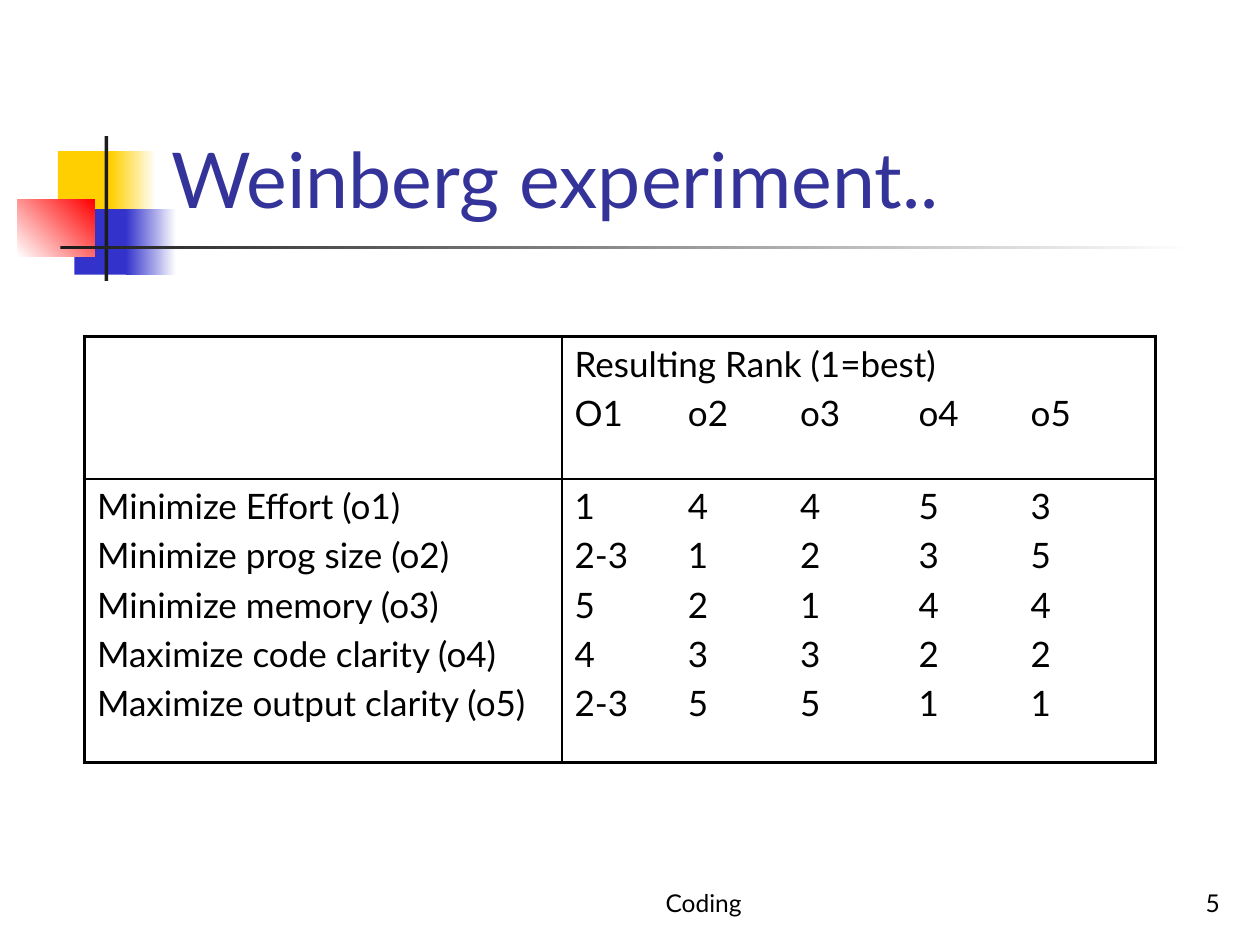
from dataclasses import dataclass

from lxml.etree import SubElement
from pptx import Presentation
from pptx.dml.color import RGBColor
from pptx.enum.shapes import MSO_SHAPE as Preset
from pptx.enum.text import MSO_ANCHOR as Anchor, PP_ALIGN as Align
from pptx.oxml.ns import qn
from pptx.util import Inches, Pt

FONT = "Lato"
COLORS = {
    "yellow": "FFCF01",
    "blue": "3333CC",
    "red": "FF0000",
    "dark": "1C1C1C",
    "white": "FFFFFF",
    "title": "333399",
    "text": "000000",
}
TAB_STOPS = (0.9, 1.79, 2.73, 3.62)
THICK, THIN = 2.25, 1


@dataclass
class Block:
    left: float
    top: float
    width: float
    height: float
    start: str
    end: str = ""
    angle: float = 0


@dataclass
class Label:
    text: str
    left: float
    top: float
    width: float
    height: float
    size: float
    align: Align
    color: str = "text"


BLOCKS = [
    Block(0.46, 1.2, 0.48, 0.52, "yellow"),
    Block(0.88, 1.2, 0.36, 0.52, "yellow", "white"),
    Block(0.59, 1.66, 0.46, 0.52, "blue"),
    Block(1, 1.66, 0.4, 0.52, "blue", "white"),
    Block(0.14, 1.58, 0.61, 0.46, "white", "red", 45),
    Block(0.83, 1.08, 0.03, 1.15, "dark"),
    Block(0.48, 1.95, 9, 0.03, "dark", "white"),
]
LABELS = [
    Label("Coding", 4, 6.83, 3.17, 0.5, 14, Align.CENTER),
    Label("5", 7.7, 6.83, 2.08, 0.5, 14, Align.RIGHT),
    Label("Weinberg experiment..", 1.26, 0.23, 8.52, 1.6, 44, Align.LEFT, "title"),
]
HEADER = ["Resulting Rank (1=best)", "O1\to2\to3\to4\to5"]
RANKS = {
    "Minimize Effort (o1)": "1\t4\t4\t5\t3",
    "Minimize prog size (o2)": "2-3\t1\t2\t3\t5",
    "Minimize memory (o3)": "5\t2\t1\t4\t4",
    "Maximize code clarity (o4)": "4\t3\t3\t2\t2",
    "Maximize output clarity (o5)": "2-3\t5\t5\t1\t1",
}


def rgb(name: str) -> RGBColor:
    return RGBColor.from_string(COLORS[name])


def style(paragraph, size: float, color: str = "text") -> None:
    font = paragraph.font
    font.name, font.size = FONT, Pt(size)
    font.color.rgb = rgb(color)


def draw_block(slide, block: Block) -> None:
    shape = slide.shapes.add_shape(
        Preset.RECTANGLE, Inches(block.left), Inches(block.top),
        Inches(block.width), Inches(block.height))
    shape.shadow.inherit = False
    shape.line.fill.background()
    if not block.end:
        shape.fill.solid()
        shape.fill.fore_color.rgb = rgb(block.start)
        return
    shape.fill.gradient()
    shape.fill.gradient_angle = block.angle
    for stop, color in zip(shape.fill.gradient_stops, (block.start, block.end)):
        stop.color.rgb = rgb(color)


def draw_label(slide, label: Label) -> None:
    box = slide.shapes.add_textbox(
        Inches(label.left), Inches(label.top), Inches(label.width), Inches(label.height))
    frame = box.text_frame
    frame.word_wrap = True
    frame.vertical_anchor = Anchor.BOTTOM
    paragraph = frame.paragraphs[0]
    paragraph.text = label.text
    paragraph.alignment = label.align
    style(paragraph, label.size, label.color)


def add_tab_stops(paragraph) -> None:
    properties = paragraph.font._element.getparent()
    tabs = SubElement(properties, qn("a:tabLst"))
    for position in TAB_STOPS:
        SubElement(tabs, qn("a:tab"), pos=str(Inches(position)), algn="l")
    # Tab stops come before the default run properties
    paragraph.font._element.addprevious(tabs)


def fill_cell(cell, lines: list[str]) -> None:
    frame = cell.text_frame
    frame.text = "\n".join(lines)
    for paragraph in frame.paragraphs:
        paragraph.space_before = Pt(4)
        style(paragraph, 20)
        if "\t" in paragraph.text:
            add_tab_stops(paragraph)


def set_borders(cell, widths: dict[str, float]) -> None:
    properties = cell._tc.get_or_add_tcPr()
    for index, (side, width) in enumerate(widths.items()):
        line = SubElement(properties, qn(f"a:ln{side}"), w=str(Pt(width)))
        fill = SubElement(line, qn("a:solidFill"))
        SubElement(fill, qn("a:srgbClr"), val=COLORS["text"])
        # Borders come before the cell fill
        properties.insert(index, line)


def draw_table(slide) -> None:
    contents = [[[], HEADER], [list(RANKS), list(RANKS.values())]]
    table = slide.shapes.add_table(
        2, 2, Inches(0.67), Inches(2.67), Inches(8.5), Inches(3.38)).table
    table.first_row = table.horz_banding = False
    for column, width in zip(table.columns, (3.79, 4.71)):
        column.width = Inches(width)
    for row, height in zip(table.rows, (1.13, 2.25)):
        row.height = Inches(height)
    for row, row_contents in enumerate(contents):
        for column, lines in enumerate(row_contents):
            cell = table.cell(row, column)
            cell.fill.background()
            fill_cell(cell, lines)
            set_borders(cell, {
                "L": THIN if column else THICK,
                "R": THICK if column else THIN,
                "T": THIN if row else THICK,
                "B": THICK if row else THIN,
            })


presentation = Presentation()
presentation.slide_width, presentation.slide_height = Inches(10), Inches(7.5)
slide = presentation.slides.add_slide(presentation.slide_layouts[6])

# Corner ornament and rule
for block in BLOCKS:
    draw_block(slide, block)

# Footer and title
for label in LABELS:
    draw_label(slide, label)

# Ranking table
draw_table(slide)

presentation.save("out.pptx")
